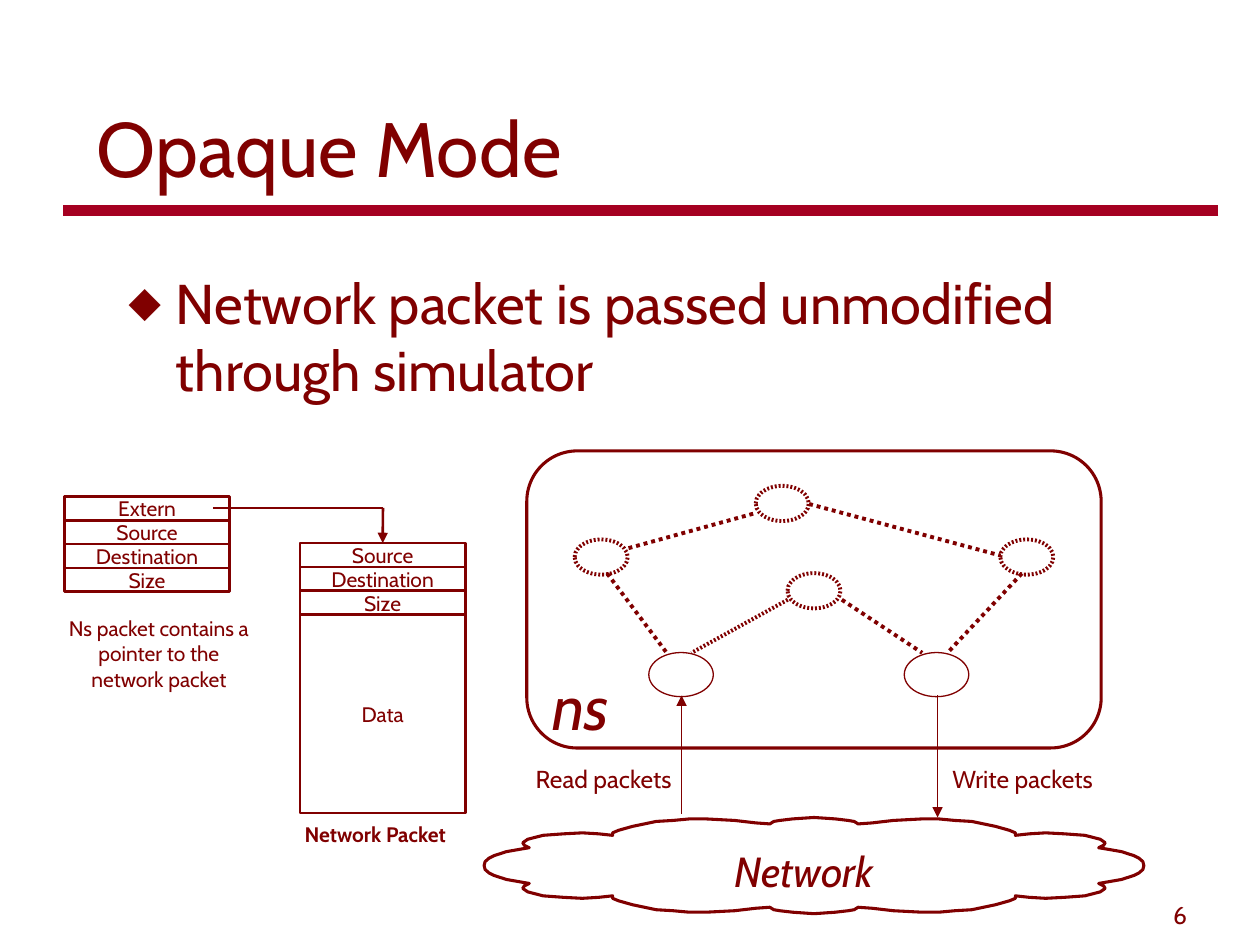
from dataclasses import dataclass

from lxml import etree
from pptx import Presentation
from pptx import util as u
from pptx.dml.color import RGBColor
from pptx.enum import dml, shapes, text
from pptx.oxml import ns


@dataclass(frozen=True)
class Theme:
    font: str = "Cabin"
    ink: RGBColor = RGBColor(0x80, 0x00, 0x00)
    rule: RGBColor = RGBColor(0xA5, 0x00, 0x21)
    title: float = 44
    name: float = 36
    body: float = 32
    cloud: float = 24
    label: float = 14
    small: float = 12
    thin: float = 0.75
    cell: float = 1.5
    outline: float = 1.75
    link: float = 2.25


@dataclass(frozen=True)
class Box:
    left: float
    top: float
    width: float
    height: float

    def lengths(self) -> list:
        return [u.Cm(n) for n in (self.left, self.top, self.width, self.height)]


@dataclass(frozen=True)
class Node:
    x: float
    y: float
    gateway: bool = False


@dataclass(frozen=True)
class Link:
    start: tuple
    end: tuple
    fine: bool = False


THEME = Theme()
ROW_WIDTH, ROW_HEIGHT, DATA_HEIGHT = 3.33, 0.48, 4.0
NS_FIELDS = ("Extern", "Source", "Destination", "Size")
NETWORK_FIELDS = ("Source", "Destination", "Size", "Data")
NODES = (
    Node(12.12, 11.23), Node(20.7, 11.23), Node(16.41, 11.91), Node(15.77, 10.15),
    Node(13.73, 13.6, gateway=True), Node(18.88, 13.6, gateway=True),
)
LINKS = (
    Link((12.24, 11.56), (13.44, 13.16)),
    Link((12.67, 11.05), (15.24, 10.34)),
    Link((16.97, 12.09), (18.59, 13.16)),
    Link((15.88, 12.09), (13.94, 13.16), fine=True),
    Link((16.31, 10.16), (20.17, 11.2)),
    Link((20.6, 11.56), (19.1, 13.16)),
)
CLOUD_CENTRE = (16.41, 17.45)
# Distances from the centre, from a side tip to the middle of the top or bottom.
CLOUD_QUARTER = (
    (6.65, 0), (6.63, 0.08), (6.55, 0.15), (6.45, 0.2), (6.2, 0.28), (5.92, 0.33),
    (5.74, 0.36), (5.84, 0.41), (5.87, 0.46), (5.77, 0.53), (5.46, 0.61), (5.05, 0.64),
    (4.67, 0.66), (4.34, 0.64), (4.06, 0.61), (4.06, 0.66), (3.94, 0.71), (3.66, 0.79),
    (3.18, 0.89), (2.84, 0.91), (2.51, 0.94), (2.18, 0.94), (1.6, 0.91), (1.17, 0.86),
    (0.89, 0.84), (0.81, 0.89), (0.69, 0.91), (0.43, 0.94), (0, 0.97),
)


def write(shape, words: str, *, size: float, bold=False, italic=False,
          align=text.PP_ALIGN.LEFT, anchor=text.MSO_ANCHOR.TOP, wrap=True):
    frame = shape.text_frame
    frame.auto_size = text.MSO_AUTO_SIZE.NONE
    frame.word_wrap = wrap
    frame.vertical_anchor = anchor
    paragraph = frame.paragraphs[0]
    paragraph.alignment = align
    run = paragraph.add_run()
    run.text = words
    run.font.name, run.font.size = THEME.font, u.Pt(size)
    run.font.bold, run.font.italic = bold, italic
    run.font.color.rgb = THEME.ink
    return paragraph


def add_label(slide, box: Box, words: str, **style) -> None:
    write(slide.shapes.add_textbox(*box.lengths()), words, **style)


def place(placeholder, box: Box) -> None:
    (placeholder.left, placeholder.top,
     placeholder.width, placeholder.height) = box.lengths()


def add_bullet(paragraph) -> None:
    paragraph.space_before = u.Pt(8)
    properties = paragraph._p.get_or_add_pPr()
    properties.set("marL", str(u.Cm(0.95)))
    properties.set("indent", str(-u.Cm(0.95)))
    colour = etree.SubElement(properties, ns.qn("a:buClr"))
    etree.SubElement(colour, ns.qn("a:srgbClr"), val=str(THEME.ink))
    etree.SubElement(properties, ns.qn("a:buSzPct"), val="75000")
    etree.SubElement(properties, ns.qn("a:buFont"), typeface=THEME.font)
    etree.SubElement(properties, ns.qn("a:buChar"), char="◆")


def add_fine_dots(shape) -> None:
    """Dash the line with dots half as long as the line is wide."""
    line = shape.element.spPr.find(ns.qn("a:ln"))
    dash = etree.SubElement(line, ns.qn("a:custDash"))
    etree.SubElement(dash, ns.qn("a:ds"), d="50000", sp="50000")


def outline(shape, width: float):
    shape.shadow.inherit = False
    shape.fill.background()
    shape.line.color.rgb = THEME.ink
    shape.line.width = u.Pt(width)
    return shape


def add_outline(slide, kind, box: Box, width: float):
    return outline(slide.shapes.add_shape(kind, *box.lengths()), width)


def add_line(slide, start: tuple, end: tuple, width: float,
             colour: RGBColor = THEME.ink, arrow: bool = False):
    line = slide.shapes.add_connector(
        shapes.MSO_CONNECTOR.STRAIGHT, *(u.Cm(n) for n in start + end))
    line.line.color.rgb = colour
    line.line.width = u.Pt(width)
    properties = line.element.spPr
    if arrow:
        etree.SubElement(properties.find(ns.qn("a:ln")), ns.qn("a:tailEnd"), type="triangle")
    etree.SubElement(properties, ns.qn("a:effectLst"))
    return line


def add_packet(slide, left: float, top: float, fields: tuple) -> list:
    """Stack one cell for each field and return the cells."""
    cells = []
    for row, field in enumerate(fields):
        height = DATA_HEIGHT if field == "Data" else ROW_HEIGHT
        box = Box(left, top + row * ROW_HEIGHT, ROW_WIDTH, height)
        cell = add_outline(slide, shapes.MSO_SHAPE.RECTANGLE, box, THEME.cell)
        write(cell, field, size=THEME.small, align=text.PP_ALIGN.CENTER,
              anchor=text.MSO_ANCHOR.MIDDLE, wrap=False)
        cells.append(cell)
    return cells


def add_node(slide, node: Node) -> None:
    width, height = (1.3, 0.89) if node.gateway else (1.07, 0.71)
    box = Box(node.x - width / 2, node.y - height / 2, width, height)
    ellipse = add_outline(slide, shapes.MSO_SHAPE.OVAL, box,
                          THEME.thin if node.gateway else THEME.link)
    if not node.gateway:
        add_fine_dots(ellipse)


def add_link(slide, link: Link) -> None:
    line = add_line(slide, link.start, link.end, THEME.link)
    if link.fine:
        add_fine_dots(line)
    else:
        line.line.dash_style = dml.MSO_LINE.ROUND_DOT


def add_cloud(slide) -> None:
    """Mirror the quarter outline into all four corners."""
    x, y = CLOUD_CENTRE
    points = []
    for across, down, step in ((-1, -1, 1), (1, -1, -1), (1, 1, 1), (-1, 1, -1)):
        points += [(u.Cm(x + across * dx), u.Cm(y + down * dy))
                   for dx, dy in CLOUD_QUARTER[::step]]
    builder = slide.shapes.build_freeform(*points[0])
    builder.add_line_segments(points[1:], close=True)
    outline(builder.convert_to_shape(), THEME.outline)


def main() -> None:
    presentation = Presentation()
    presentation.slide_width, presentation.slide_height = u.Cm(25.4), u.Cm(19.05)
    slide = presentation.slides.add_slide(presentation.slide_layouts[1])
    centre = text.PP_ALIGN.CENTER

    add_line(slide, (24.56, 4.24), (1.27, 4.24), 6, colour=THEME.rule)
    title, body = slide.placeholders
    place(title, Box(1.7, 0.84, 21.59, 3.18))
    write(title, "Opaque Mode", size=THEME.title, anchor=text.MSO_ANCHOR.BOTTOM)
    place(body, Box(2.34, 5.28, 21.59, 11.43))
    add_bullet(write(body, "Network packet is passed unmodified through simulator",
                     size=THEME.body))

    add_packet(slide, 1.3, 10.01, NS_FIELDS)
    source = add_packet(slide, 6.05, 10.95, NETWORK_FIELDS)[0]
    add_line(slide, (4.29, 10.24), (7.72, 10.24), THEME.cell)
    pointer = add_line(slide, (7.72, 10.24), (7.72, 10.95), THEME.cell, arrow=True)
    pointer.end_connect(source, 0)
    add_label(slide, Box(1.07, 12.29, 4.27, 1.78),
              "Ns packet contains a pointer to the network packet",
              size=THEME.small, align=centre)
    add_label(slide, Box(5.89, 16.43, 4.06, 0.76), "Network Packet",
              size=THEME.small, bold=True)

    for node in NODES:
        add_node(slide, node)
    for link in LINKS:
        add_link(slide, link)
    frame = add_outline(slide, shapes.MSO_SHAPE.ROUNDED_RECTANGLE,
                        Box(10.62, 9.09, 11.58, 5.99), THEME.outline)
    frame.adjustments[0] = 0.17
    add_label(slide, Box(10.82, 13.34, 1.78, 1.78), "ns", size=THEME.name,
              italic=True, align=centre, wrap=False)

    add_line(slide, (13.74, 16.41), (13.74, 14.02), THEME.thin, arrow=True)
    add_line(slide, (18.9, 14.02), (18.9, 16.48), THEME.thin, arrow=True)
    add_label(slide, Box(9.96, 15.27, 4.42, 0.86), "Read packets",
              size=THEME.label, align=centre)
    add_label(slide, Box(18.75, 15.27, 3.73, 0.86), "Write packets",
              size=THEME.label, align=centre)
    add_cloud(slide)
    add_label(slide, Box(14.38, 16.92, 3.66, 1.27), "Network", size=THEME.cloud,
              italic=True, align=centre, wrap=False)
    add_label(slide, Box(18.9, 17.6, 5.28, 1.27), "6", size=THEME.label,
              align=text.PP_ALIGN.RIGHT, anchor=text.MSO_ANCHOR.BOTTOM)
    presentation.save("out.pptx")


if __name__ == "__main__":
    main()
